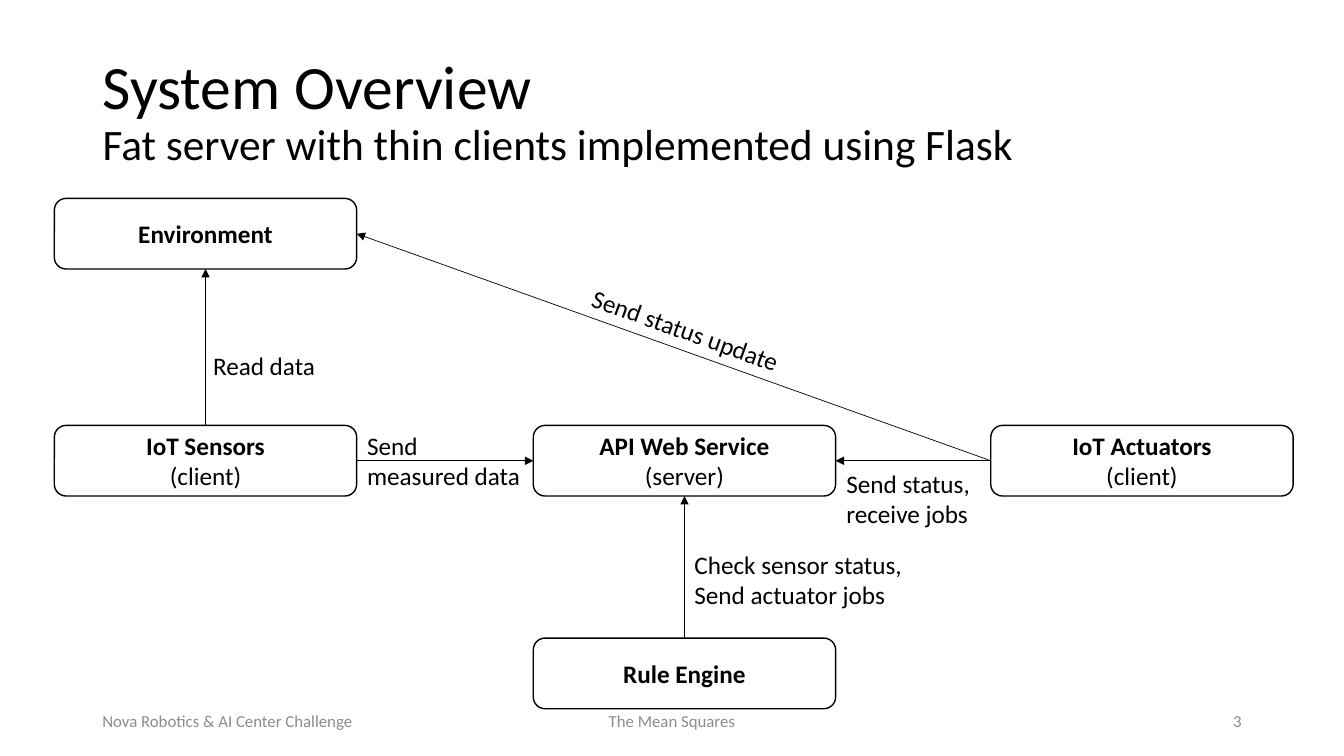
"""Build the system overview slide with its client-server diagram."""
from dataclasses import dataclass

import lxml.etree
import pptx
import pptx.dml.color
import pptx.enum.shapes
import pptx.enum.text
import pptx.oxml.ns
import pptx.util
from pptx.util import Cm

FONT = "Calibri"
BLACK, WHITE, GREY = "000000", "FFFFFF", "8C8C8C"
BOX_WIDTH, BOX_HEIGHT = 7.62, 1.78
LEFT, CENTER, RIGHT = 1.37, 13.44, 24.97
FOOTER_TOP, FOOTER_HEIGHT = 17.65, 1.02
TOP_SITE, LEFT_SITE, BOTTOM_SITE, RIGHT_SITE = range(4)
ALIGN = pptx.enum.text.PP_ALIGN
ANCHOR = pptx.enum.text.MSO_ANCHOR


@dataclass
class Box:
    name: str
    left: float
    top: float
    role: str = ""


@dataclass
class Arrow:
    source: str
    source_site: int
    target: str
    target_site: int


@dataclass
class Label:
    text: str
    left: float
    top: float
    width: float
    height: float
    rotation: float = 0
    size: float = 18
    color: str = BLACK
    alignment: ALIGN = ALIGN.LEFT
    anchor: ANCHOR = ANCHOR.TOP


BOXES = [
    Box("Environment", LEFT, 5.0),
    Box("API Web Service", CENTER, 10.72, "(server)"),
    Box("IoT Sensors", LEFT, 10.72, "(client)"),
    Box("IoT Actuators", RIGHT, 10.72, "(client)"),
    Box("Rule Engine", CENTER, 16.08),
]

ARROWS = [
    Arrow("Rule Engine", TOP_SITE, "API Web Service", BOTTOM_SITE),
    Arrow("IoT Sensors", TOP_SITE, "Environment", BOTTOM_SITE),
    Arrow("IoT Sensors", RIGHT_SITE, "API Web Service", LEFT_SITE),
    Arrow("IoT Actuators", LEFT_SITE, "API Web Service", RIGHT_SITE),
    Arrow("IoT Actuators", LEFT_SITE, "Environment", RIGHT_SITE),
]

LABELS = [
    Label("Read data", 5.12, 8.71, 3.22, 1.02),
    Label("Send status update", 14.55, 7.89, 5.95, 1.02, rotation=19.7),
    Label("Send\vmeasured data", 9.0, 10.72, 4.44, 1.8),
    Label("Send status, receive jobs", 21.08, 11.68, 3.89, 1.8),
    Label("Check sensor status,\nSend actuator jobs", 17.25, 13.72, 6.02, 1.8),
]


def footer(text: str, left: float, width: float, alignment: ALIGN) -> Label:
    """Describe one part of the footer line."""
    return Label(text, left, FOOTER_TOP, width, FOOTER_HEIGHT, size=12, color=GREY,
                 alignment=alignment, anchor=ANCHOR.MIDDLE)


FOOTERS = [
    footer("Nova Robotics & AI Center Challenge", 2.33, 7.62, ALIGN.LEFT),
    footer("The Mean Squares", 11.22, 11.43, ALIGN.CENTER),
    footer("3", 23.92, 7.62, ALIGN.RIGHT),
]


def rgb(color: str) -> pptx.dml.color.RGBColor:
    """Turn a hex string into a colour."""
    return pptx.dml.color.RGBColor.from_string(color)


def format_run(run, size: float, color: str = BLACK, bold: bool = False) -> None:
    """Set the font of a run."""
    run.font.name = FONT
    run.font.size = pptx.util.Pt(size)
    run.font.bold = bold
    run.font.color.rgb = rgb(color)


def format_title(title) -> None:
    """Place and fill the title placeholder."""
    title.left, title.top, title.width, title.height = Cm(2.33), Cm(1.01), Cm(29.21), Cm(3.68)
    frame = title.text_frame
    frame.text = "System Overview\vFat server with thin clients implemented using Flask"
    frame.auto_size = pptx.enum.text.MSO_AUTO_SIZE.NONE
    frame.vertical_anchor = ANCHOR.MIDDLE
    paragraph = frame.paragraphs[0]
    paragraph.alignment = ALIGN.LEFT
    paragraph.line_spacing = 0.9
    for run, size in zip(paragraph.runs, (44, 31)):
        format_run(run, size)


def add_box(slide, box: Box):
    """Draw a rounded component box with a bold name and a plain role."""
    shape = slide.shapes.add_shape(
        pptx.enum.shapes.MSO_SHAPE.ROUNDED_RECTANGLE,
        Cm(box.left), Cm(box.top), Cm(BOX_WIDTH), Cm(BOX_HEIGHT))
    shape.shadow.inherit = False
    shape.fill.solid()
    shape.fill.fore_color.rgb = rgb(WHITE)
    shape.line.color.rgb = rgb(BLACK)
    shape.line.width = pptx.util.Pt(1)
    frame = shape.text_frame
    frame.text = f"{box.name}\n{box.role}" if box.role else box.name
    frame.vertical_anchor = ANCHOR.MIDDLE
    for index, paragraph in enumerate(frame.paragraphs):
        paragraph.alignment = ALIGN.CENTER
        format_run(paragraph.runs[0], 18, bold=index == 0)
    return shape


def add_arrow(slide, arrow: Arrow, shapes: dict) -> None:
    """Connect two boxes with a thin arrow."""
    connector = slide.shapes.add_connector(
        pptx.enum.shapes.MSO_CONNECTOR.STRAIGHT, 0, 0, 0, 0)
    connector.begin_connect(shapes[arrow.source], arrow.source_site)
    connector.end_connect(shapes[arrow.target], arrow.target_site)
    connector.line.color.rgb = rgb(BLACK)
    connector.line.width = pptx.util.Pt(0.5)
    qn = pptx.oxml.ns.qn
    properties = connector._element.spPr
    lxml.etree.SubElement(properties.find(qn("a:ln")), qn("a:tailEnd"), type="triangle")
    lxml.etree.SubElement(properties, qn("a:effectLst"))


def add_label(slide, label: Label) -> None:
    """Draw a text box."""
    shape = slide.shapes.add_textbox(
        Cm(label.left), Cm(label.top), Cm(label.width), Cm(label.height))
    shape.rotation = label.rotation
    frame = shape.text_frame
    frame.word_wrap = True
    frame.vertical_anchor = label.anchor
    frame.text = label.text
    for paragraph in frame.paragraphs:
        paragraph.alignment = label.alignment
        for run in paragraph.runs:
            format_run(run, label.size, label.color)


def main() -> None:
    """Build and save the presentation."""
    presentation = pptx.Presentation()
    presentation.slide_width, presentation.slide_height = Cm(33.87), Cm(19.05)
    slide = presentation.slides.add_slide(presentation.slide_layouts[5])
    format_title(slide.shapes.title)
    shapes = {box.name: add_box(slide, box) for box in BOXES}
    for arrow in ARROWS:
        add_arrow(slide, arrow, shapes)
    for label in LABELS + FOOTERS:
        add_label(slide, label)
    presentation.save("out.pptx")


if __name__ == "__main__":
    main()
